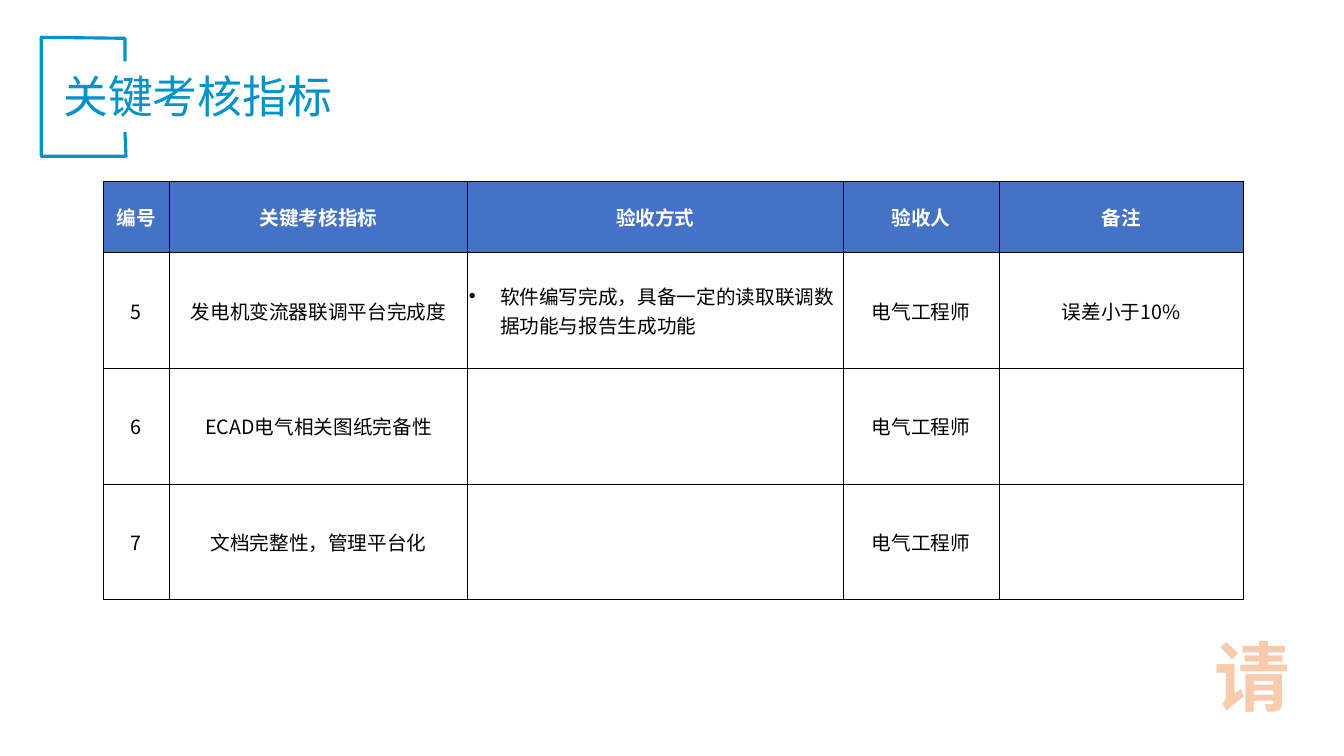
from lxml import etree
from pptx import Presentation
from pptx import util as u
from pptx.dml.color import RGBColor
from pptx.enum import text
from pptx.oxml.ns import qn

FONT = "Noto Sans CJK SC"
BLUE, HEADER_BLUE, BLACK, WHITE = "0093CA", "4472C4", "000000", "FFFFFF"
BRACKET = [(1.24, 1.31), (1.25, 1.55), (0.41, 1.55), (0.41, 0.37), (1.24, 0.38), (1.24, 0.61)]
COLUMN_WIDTHS = [0.66, 2.96, 3.72, 1.55, 2.42]
ROW_HEIGHTS = [0.7, 1.15, 1.15, 1.15]
METHOD_COLUMN = 2
ROWS = [
    ["编号", "关键考核指标", "验收方式", "验收人", "备注"],
    ["5", "发电机变流器联调平台完成度", "软件编写完成，具备一定的读取联调数据功能与报告生成功能",
     "电气工程师", "误差小于10%"],
    ["6", "ECAD电气相关图纸完备性", "", "电气工程师", ""],
    ["7", "文档完整性，管理平台化", "", "电气工程师", ""],
]


def rgb(value):
    return RGBColor.from_string(value)


def set_all(target, values):
    for name, value in values.items():
        setattr(target, name, value)


def add_line(parent, tag, color, points):
    line = etree.SubElement(parent, qn(tag), w=str(u.Pt(points)))
    fill = etree.SubElement(line, qn("a:solidFill"))
    etree.SubElement(fill, qn("a:srgbClr"), val=color)
    return line


def write(paragraph, words, size, color, bold=False, align=text.PP_ALIGN.LEFT, outline=None):
    paragraph.alignment = align
    run = paragraph.add_run()
    run.text = words
    properties = run._r.get_or_add_rPr()
    if outline:
        add_line(properties, "a:ln", *outline)
    set_all(run.font, {"size": u.Pt(size), "bold": bold, "name": FONT})
    run.font.color.rgb = rgb(color)
    etree.SubElement(properties, qn("a:ea"), typeface=FONT)


def add_text(slide, box, words, size, color, wrap=True, **style):
    shape = slide.shapes.add_textbox(*map(u.Inches, box))
    set_all(shape.text_frame, {"word_wrap": wrap, "vertical_anchor": text.MSO_ANCHOR.MIDDLE})
    write(shape.text_frame.paragraphs[0], words, size, color, **style)


def add_bracket(slide):
    points = [(u.Inches(x), u.Inches(y)) for x, y in BRACKET]
    builder = slide.shapes.build_freeform(*points[0])
    builder.add_line_segments(points[1:], close=False)
    shape = builder.convert_to_shape()
    shape.shadow.inherit = False
    shape.fill.background()
    shape.line.color.rgb = rgb(BLUE)
    shape.line.width = u.Pt(2.25)


def add_bullet(paragraph):
    properties = paragraph._p.get_or_add_pPr()
    set_all(properties, {"marL": u.Inches(0.31), "indent": u.Inches(-0.31)})
    for name, value in {"marL": 0.31, "indent": -0.31}.items():
        properties.set(name, str(u.Inches(value)))
    etree.SubElement(properties, qn("a:buFont"), typeface="Arial")
    etree.SubElement(properties, qn("a:buChar"), char="•")


def format_cell(cell, words, header, bulleted):
    set_all(cell, {"margin_left": u.Inches(0.01), "margin_right": u.Inches(0.01),
                   "margin_top": u.Inches(0.01), "margin_bottom": 0,
                   "vertical_anchor": text.MSO_ANCHOR.MIDDLE})
    # Borders come before the fill in the cell properties
    for side in "LRTB":
        width = 1 if header and side == "T" else 0.5
        add_line(cell._tc.get_or_add_tcPr(), f"a:ln{side}", BLACK, width)
    if header:
        cell.fill.solid()
        cell.fill.fore_color.rgb = rgb(HEADER_BLUE)
    else:
        cell.fill.background()
    if words:
        paragraph = cell.text_frame.paragraphs[0]
        if bulleted:
            add_bullet(paragraph)
        align = text.PP_ALIGN.LEFT if bulleted else text.PP_ALIGN.CENTER
        write(paragraph, words, 14, WHITE if header else BLACK, header, align)


def add_indicator_table(slide):
    box = (1.02, 1.8, sum(COLUMN_WIDTHS), sum(ROW_HEIGHTS))
    table = slide.shapes.add_table(len(ROWS), len(COLUMN_WIDTHS), *map(u.Inches, box)).table
    set_all(table, {"first_row": False, "horz_banding": False})
    for column, width in zip(table.columns, COLUMN_WIDTHS):
        column.width = u.Inches(width)
    for row, height in zip(table.rows, ROW_HEIGHTS):
        row.height = u.Inches(height)
    for r, row in enumerate(ROWS):
        for c, words in enumerate(row):
            format_cell(table.cell(r, c), words, r == 0, r > 0 and c == METHOD_COLUMN)


def main():
    presentation = Presentation()
    set_all(presentation, {"slide_width": u.Inches(13.33), "slide_height": u.Inches(7.5)})
    slide = presentation.slides.add_slide(presentation.slide_layouts[6])

    # Title with its open frame
    add_bracket(slide)
    add_text(slide, (0.53, 0.63, 9.75, 0.64), "关键考核指标", 32, BLUE)

    # Indicators
    add_indicator_table(slide)

    # Corner character
    add_text(slide, (11.94, 6.19, 0.96, 1.01), "请", 54, "F8CBAD", wrap=False, bold=True,
             align=text.PP_ALIGN.CENTER, outline=("ED7D31", 1.75))

    presentation.save("out.pptx")


if __name__ == "__main__":
    main()
